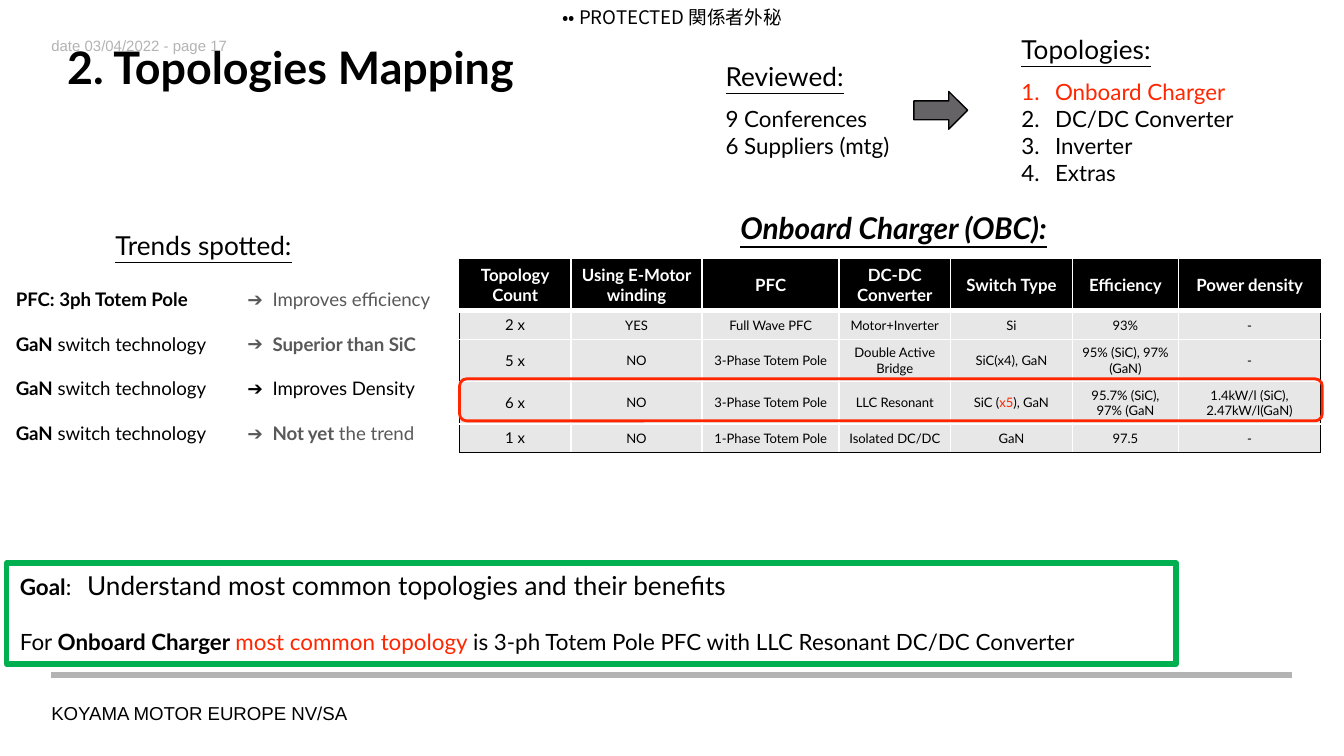
import pptx
import pptx.util
import pptx.dml.color
import pptx.enum.shapes
import pptx.enum.text
import pptx.oxml.ns
from lxml import etree

Pt = pptx.util.Pt
SHAPES = pptx.enum.shapes.MSO_SHAPE
ALIGN = pptx.enum.text.PP_ALIGN
ANCHOR = pptx.enum.text.MSO_ANCHOR

COLORS = {
    "black": "000000", "white": "FFFFFF", "red": "FF2600", "green": "00B050",
    "arrow": "666366", "rule": "B3B3B3", "muted": "595959", "cell": "E7E7E7",
}
BOLD = {"bold": True}
RED = {"color": "red"}
MUTED = {"color": "muted"}
HEADING = {"size": 14, "underline": True}

TITLE = [[("2. Topologies Mapping", {"size": 24, "bold": True})]]
DATE = [[("date 03/04/2022 - page 17", {"name": "Arial", "size": 8, "color": "rule"})]]
COMPANY = [[("KOYAMA MOTOR EUROPE NV/SA", {"name": "Arial", "size": 10})]]
MARKING = [[("•• PROTECTED 関係者外秘", {"name": "Noto Sans CJK JP", "size": 10})]]
REVIEWED = [[("Reviewed:", HEADING)], [("9 Conferences", {})], [("6 Suppliers (mtg)", {})]]
TOPOLOGIES = [
    [("Topologies:", HEADING)],
    [("Onboard Charger", RED)],
    [("DC/DC Converter", {})],
    [("Inverter", {})],
    [("Extras", {})],
]
TRENDS_HEADING = [[("Trends spotted:", HEADING)]]
TABLE_HEADING = [[("Onboard Charger (OBC):",
                   {"size": 16, "bold": True, "italic": True, "underline": True})]]
GAN = [("GaN", BOLD), (" switch technology", {})]
TRENDS = [
    ([("PFC: 3ph Totem Pole", BOLD)], [("Improves efficiency", MUTED)]),
    (GAN, [("Superior than SiC", {**MUTED, **BOLD})]),
    (GAN, [("Improves Density", {})]),
    (GAN, [("Not yet", {**MUTED, **BOLD}), (" the trend", MUTED)]),
]
GOAL = [
    [("Goal", BOLD), (":\t", {}),
     ("Understand most common topologies and their benefits", {"size": 14})],
    [("For ", {}), ("Onboard Charger ", BOLD), ("most common topology ", RED),
     ("is 3-ph Totem Pole PFC with LLC Resonant DC/DC Converter", {})],
]
COLUMNS = [
    (["Topology", "Count"], 59.6), (["Using E-Motor winding"], 70.4), (["PFC"], 73.4),
    (["DC-DC Converter"], 59.6), (["Switch Type"], 65.4), (["Efficiency"], 56.8),
    (["Power density"], 76.2),
]
ROWS = [
    ["2 x", "YES", "Full Wave PFC", "Motor+Inverter", "Si", "93%", "-"],
    ["5 x", "NO", "3-Phase Totem Pole", "Double Active Bridge", "SiC(x4), GaN",
     "95% (SiC), 97% (GaN)", "-"],
    ["6 x", "NO", "3-Phase Totem Pole", "LLC Resonant",
     [("SiC (", {}), ("x5", RED), ("), GaN", {})],
     "95.7% (SiC),\n97% (GaN", "1.4kW/l (SiC),\n2.47kW/l(GaN)"],
    ["1 x", "NO", "1-Phase Totem Pole", "Isolated DC/DC", "GaN", "97.5", "-"],
]
ROW_HEIGHTS = [27.4, 15.4, 22.6, 22.6, 15.4]


def rgb(color):
    return pptx.dml.color.RGBColor.from_string(COLORS[color])


def add_element(parent, tag, **values):
    element = etree.SubElement(parent, pptx.oxml.ns.qn(tag))
    for key, value in values.items():
        element.set(key, str(value))
    return element


def write_span(para, text, style):
    for number, line in enumerate(text.split("\n")):
        if number:
            para.add_line_break()
        span = para.add_run()
        span.text = line
        for key, value in style.items():
            if key == "color":
                span.font.color.rgb = rgb(value)
            else:
                setattr(span.font, key, Pt(value) if key == "size" else value)
        if style["name"].startswith("Noto"):
            add_element(span.font._element, "a:ea", typeface=style["name"])


def write(frame, paras, size=12, align=ALIGN.LEFT, gaps=(), bullet=None,
          indent=0, plain=0, tab=None):
    for number, spans in enumerate(paras):
        para = frame.paragraphs[0] if number == 0 else frame.add_paragraph()
        para.alignment = align
        para.space_before = Pt(gaps[number - 1] if number and gaps else 0)
        properties = para._p.get_or_add_pPr()
        hang = Pt(indent) if number >= plain else 0
        properties.set("marL", str(hang))
        properties.set("indent", str(-hang))
        if bullet and hang:
            add_element(properties, "a:buFont", typeface="Lato")
            if bullet == "1.":
                add_element(properties, "a:buAutoNum", type="arabicPeriod")
            else:
                add_element(properties, "a:buChar", char=bullet)
        else:
            add_element(properties, "a:buNone")
        if tab:
            add_element(add_element(properties, "a:tabLst"), "a:tab", pos=Pt(tab), algn="l")
        for text, style in spans:
            write_span(para, text, {"name": "Lato", "size": size, "color": "black", **style})


def place(box, area, paras, anchor=ANCHOR.TOP, margins=None, **layout):
    for key, value in zip(("left", "top", "width", "height"), area):
        setattr(box, key, Pt(value))
    frame = box.text_frame
    form = {"word_wrap": True, "auto_size": pptx.enum.text.MSO_AUTO_SIZE.NONE,
            "vertical_anchor": anchor}
    for key, value in form.items():
        setattr(frame, key, value)
    for side, value in zip(("left", "top", "right", "bottom"), margins or ()):
        setattr(frame, "margin_" + side, Pt(value))
    write(frame, paras, **layout)


def add_figure(page, kind, area, fill, line, width):
    figure = page.shapes.add_shape(kind, *map(Pt, area))
    figure.shadow.inherit = False
    if fill:
        figure.fill.solid()
        figure.fill.fore_color.rgb = rgb(fill)
    else:
        figure.fill.background()
    figure.line.color.rgb = rgb(line)
    figure.line.width = Pt(width)
    return figure


def add_borders(cell, row, column):
    last_row, last_column = len(ROWS), len(COLUMNS) - 1
    edges = {
        "L": ("black" if column == 0 else "white", 1),
        "R": ("black" if column == last_column else "white", 1),
        "T": ("black" if row == 0 else "white", 1),
        "B": ("black" if row == last_row else "white", 3 if row == 0 else 1),
    }
    properties = cell._tc.get_or_add_tcPr()
    for side, (color, width) in edges.items():
        line = add_element(properties, "a:ln" + side, w=Pt(width))
        add_element(add_element(line, "a:solidFill"), "a:srgbClr", val=COLORS[color])


def add_topology_table(page):
    widths = [width for _, width in COLUMNS]
    area = (246.2, 139, sum(widths), sum(ROW_HEIGHTS))
    table = page.shapes.add_table(len(ROW_HEIGHTS), len(COLUMNS), *map(Pt, area)).table
    table.horz_banding = False
    for column, width in zip(table.columns, widths):
        column.width = Pt(width)
    for row, height in zip(table.rows, ROW_HEIGHTS):
        row.height = Pt(height)
    header = [[[(line, {"bold": True, "color": "white"})] for line in lines]
              for lines, _ in COLUMNS]
    body = [[[[(value, {})] if isinstance(value, str) else value] for value in row]
            for row in ROWS]
    for row, values in enumerate([header] + body):
        for column, paras in enumerate(values):
            cell = table.cell(row, column)
            add_borders(cell, row, column)
            cell.fill.solid()
            cell.fill.fore_color.rgb = rgb("cell" if row else "black")
            cell.vertical_anchor = ANCHOR.MIDDLE
            for side in ("left", "top", "right", "bottom"):
                setattr(cell, "margin_" + side, Pt(2.9))
            size = 9 if row == 0 else 8 if column == 0 else 7
            write(cell.text_frame, paras, size, ALIGN.CENTER)


def main():
    deck = pptx.Presentation()
    deck.slide_width, deck.slide_height = Pt(720), Pt(405)
    page = deck.slides.add_slide(deck.slide_layouts[3])
    title, topologies, outcomes = page.placeholders

    rule = page.shapes.add_connector(pptx.enum.shapes.MSO_CONNECTOR.STRAIGHT,
                                     Pt(27.5), Pt(361.6), Pt(692), Pt(361.6))
    rule.line.color.rgb = rgb("rule")
    rule.line.width = Pt(3)
    add_element(rule._element.spPr, "a:effectLst")

    place(title, (28.8, 21.6, 666, 28.1), TITLE, ANCHOR.MIDDLE)
    place(topologies, (540, 14.4, 134.6, 90), TOPOLOGIES, gaps=(7.2, 0, 0, 0),
          bullet="1.", indent=18, plain=1)
    trend_gaps = (12, 12, 12)
    place(outcomes, (125.3, 150.5, 121, 92.2), [right for _, right in TRENDS],
          size=10, gaps=trend_gaps, bullet="➔", indent=13.5)

    flush = (0, 0, 0, 0)
    boxes = [
        ((27.5, 7.9, 450, 21), DATE, {"margins": (0, 11.6, 0, 0)}),
        ((27.5, 375.8, 565, 12.2), COMPANY, {"margins": flush}),
        ((290, 0, 140, 18.7), MARKING,
         {"margins": flush, "anchor": ANCHOR.MIDDLE, "align": ALIGN.CENTER}),
        ((381.6, 28.8, 113.8, 60.5), REVIEWED, {"gaps": (7.2, 0)}),
        ((54.7, 119.5, 121, 24.5), TRENDS_HEADING, {}),
        ((362.9, 108.7, 231.8, 26.6), TABLE_HEADING, {"align": ALIGN.CENTER}),
        ((1.4, 150.5, 126.7, 92.2), [left for left, _ in TRENDS],
         {"size": 10, "gaps": trend_gaps}),
    ]
    for area, paras, layout in boxes:
        place(page.shapes.add_textbox(*map(Pt, area)), area, paras, **layout)

    goal_area = (3.6, 301.7, 626.4, 54)
    goal = add_figure(page, SHAPES.RECTANGLE, goal_area, "white", "green", 3)
    place(goal, goal_area, GOAL, gaps=(14.4,), tab=61.5)
    add_figure(page, SHAPES.RIGHT_ARROW, (489.6, 49, 28.8, 20.2), "arrow", "black", 0.75)
    add_topology_table(page)
    add_figure(page, SHAPES.ROUNDED_RECTANGLE, (246.2, 203, 462.2, 22.5), None, "red", 1.5)
    deck.save("out.pptx")


if __name__ == "__main__":
    main()
